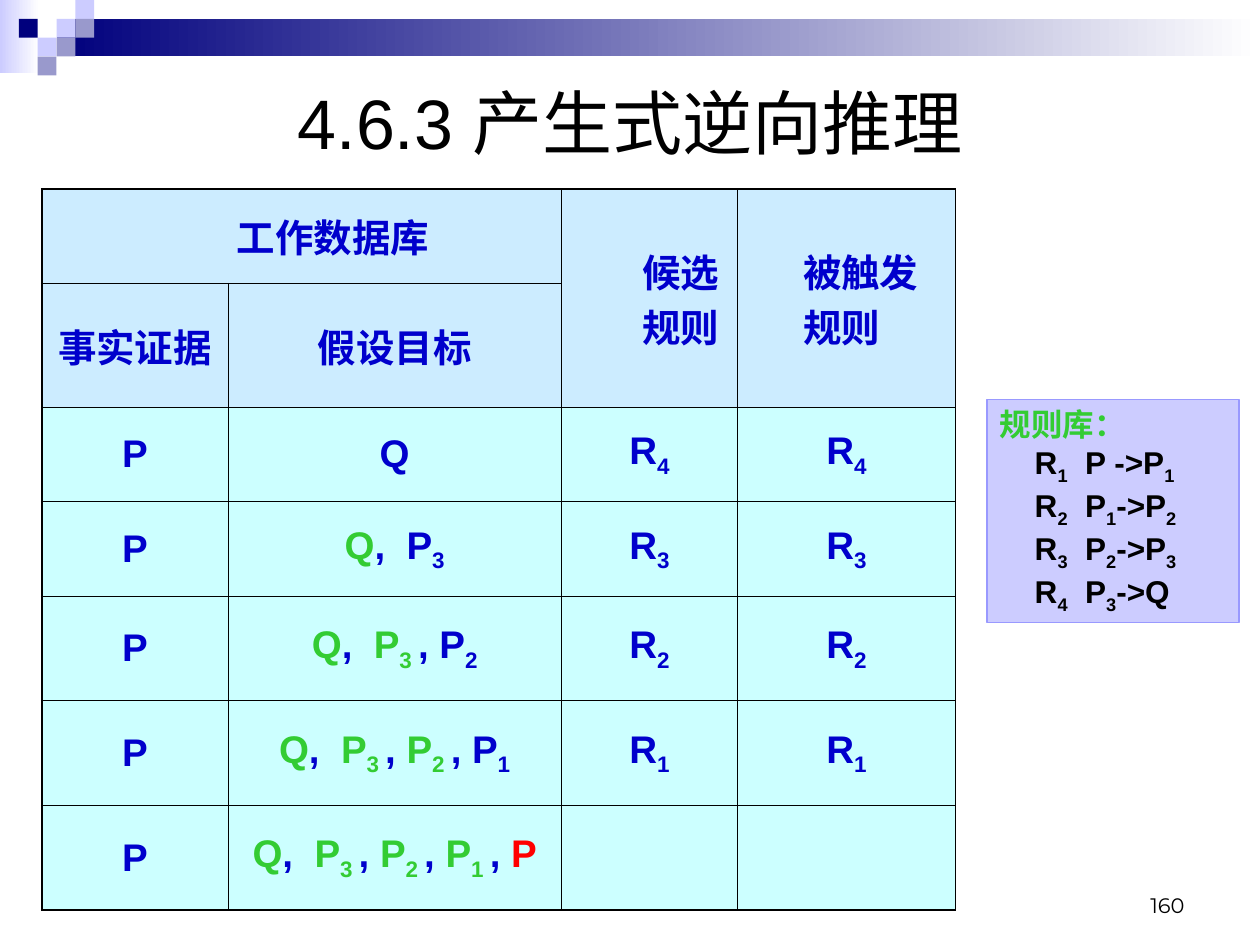
from lxml import etree
from pptx import Presentation
from pptx.dml.color import RGBColor
from pptx.enum.shapes import MSO_SHAPE
from pptx.enum.text import MSO_ANCHOR, MSO_AUTO_SIZE, PP_ALIGN
from pptx.oxml.ns import qn
from pptx.util import Cm, Pt

RECT = MSO_SHAPE.RECTANGLE
MIDDLE, BOTTOM = MSO_ANCHOR.MIDDLE, MSO_ANCHOR.BOTTOM
LEFT, CENTER, RIGHT = PP_ALIGN.LEFT, PP_ALIGN.CENTER, PP_ALIGN.RIGHT
GROW = MSO_AUTO_SIZE.SHAPE_TO_FIT_TEXT

BLACK = RGBColor(0x00, 0x00, 0x00)
WHITE = RGBColor(0xFF, 0xFF, 0xFF)
NAVY = RGBColor(0x00, 0x00, 0x7D)
LILAC = RGBColor(0xCC, 0xCC, 0xFF)
MAUVE = RGBColor(0x99, 0x99, 0xCC)
EDGE = RGBColor(0x99, 0x99, 0xFF)
BLUE = RGBColor(0x00, 0x00, 0xCC)
GREEN = RGBColor(0x33, 0xCC, 0x33)
RED = RGBColor(0xFF, 0x00, 0x00)
SKY = RGBColor(0xCC, 0xEC, 0xFF)
AQUA = RGBColor(0xCC, 0xFF, 0xFF)

HEAD = {"name": "Arial", "size": Pt(40)}
CELL = {"name": "Arial", "size": Pt(22), "bold": True}
RULE = {"name": "Arial", "size": Pt(18), "bold": True}
PAGE = {"name": "Montserrat", "size": Pt(12)}
PAD = {"margin_left": Cm(0.05), "margin_right": Cm(0.05),
       "margin_top": Cm(0.13), "margin_bottom": Cm(0.13),
       "vertical_anchor": MIDDLE}

COLS = [3.76, 6.71, 3.56, 4.39]
ROWS = [1.9, 2.5, 1.9, 1.9, 2.11, 2.11, 2.11]
GOALS = ["Q", "P_3_", "P_2_", "P_1_", "P"]
FIRED = ["R_4_", "R_3_", "R_2_", "R_1_", ""]
RULES = ["R_1_  P ->P_1_", "R_2_  P_1_->P_2_",
         "R_3_  P_2_->P_3_", "R_4_  P_3_->Q"]
TILES = [(3, 1, LILAC), (4, 0, LILAC), (4, 1, MAUVE), (2, 2, LILAC),
         (1, 1, NAVY), (3, 2, MAUVE), (2, 3, MAUVE)]


def apply(target, values):
    """Set each named value on the target."""
    for name, value in values.items():
        setattr(target, name, value)


def write(par, text, style, color):
    """Add runs to a paragraph; text between underscores is subscript."""
    for i, part in enumerate(text.split("_")):
        if part:
            run = par.add_run()
            run.text = part
            apply(run.font, style)
            run.font.color.rgb = color
            if i % 2:
                run.font._element.set("baseline", "-25000")


def indent(par, left):
    """Give a paragraph a left margin without a bullet."""
    props = par._p.get_or_add_pPr()
    props.set("marL", str(Cm(left)))
    props.set("indent", "0")


def block(slide, box, fill, end=None):
    """Draw a plain rectangle, shaded towards an end colour if given."""
    shape = slide.shapes.add_shape(RECT, *map(Cm, box))
    shape.shadow.inherit = False
    shape.line.fill.background()
    if end is None:
        shape.fill.solid()
        shape.fill.fore_color.rgb = fill
    else:
        shape.fill.gradient()
        shape.fill.gradient_angle = 0
        for stop, color, place in zip(shape.fill.gradient_stops, (fill, end), (0, 1)):
            stop.color.rgb = color
            stop.position = place
    return shape


def banner(slide, box):
    """Draw the shaded bar and its mosaic of tiles."""
    left, top, width, height = box
    unit = height / 4
    block(slide, (left, top, 0.79, 1.47), LILAC, WHITE)
    block(slide, (left + 3 * unit, top + unit, width - 3 * unit, 2 * unit), NAVY, WHITE)
    for col, row, color in TILES:
        block(slide, (left + col * unit, top + row * unit, unit, unit), color)


def heading(slide, box):
    """Place and format the title."""
    title = slide.shapes.title
    sides = ("left", "top", "width", "height")
    apply(title, dict(zip(sides, map(Cm, box))))
    title.text_frame.vertical_anchor = MIDDLE
    par = title.text_frame.paragraphs[0]
    par.alignment = CENTER
    write(par, "4.6.3 产生式逆向推理", HEAD, BLACK)


def frame(cell, row, col):
    """Rule a cell, with heavier lines on the table's rim."""
    props = cell._tc.get_or_add_tcPr()
    rims = {"lnL": col == 0, "lnR": col == len(COLS) - 1,
            "lnT": row == 0, "lnB": row == len(ROWS) - 1}
    for i, (tag, rim) in enumerate(rims.items()):
        line = etree.Element(qn("a:" + tag), w=str(Pt(1.08 if rim else 0.45)))
        fill = etree.SubElement(line, qn("a:solidFill"))
        etree.SubElement(fill, qn("a:srgbClr"), val=str(BLACK))
        props.insert(i, line)


def entry(cell, parts, align=CENTER, left=0):
    """Fill a cell with coloured pieces of text."""
    par = cell.text_frame.paragraphs[0]
    par.alignment = align
    par.space_before = Pt(0)
    if left:
        par.level = 1
        indent(par, left)
    for text, color in parts:
        write(par, text, CELL, color)


def chain(step):
    """List the goals of a step, with the earlier ones in green."""
    parts = []
    for i, goal in enumerate(GOALS[:step]):
        text = goal[:-1] + " _" if goal.endswith("_") else goal
        parts += [(text, GREEN), (", " if i else ",  ", BLUE)]
    last = RED if step == len(GOALS) - 1 else BLUE
    return parts + [(GOALS[step], last)]


def trace(slide, box):
    """Build the table of reasoning steps."""
    table = slide.shapes.add_table(len(ROWS), len(COLS), *map(Cm, box)).table
    table.first_row = table.horz_banding = False
    for col, size in zip(table.columns, COLS):
        col.width = Cm(size)
    for row, size in zip(table.rows, ROWS):
        row.height = Cm(size)
    for r in range(len(ROWS)):
        for c in range(len(COLS)):
            cell = table.cell(r, c)
            apply(cell, PAD)
            cell.fill.solid()
            cell.fill.fore_color.rgb = SKY if r < 2 else AQUA
            frame(cell, r, c)
    for start, end in (((0, 0), (0, 1)), ((0, 2), (1, 2)), ((0, 3), (1, 3))):
        table.cell(*start).merge(table.cell(*end))
    for c, text, align in ((0, "工作数据库", CENTER), (2, "候选规则", CENTER),
                           (3, "被触发规则", LEFT)):
        entry(table.cell(0, c), [(text, BLUE)], align, 1.27)
    for c, text in enumerate(("事实证据", "假设目标")):
        entry(table.cell(1, c), [(text, BLUE)])
    for step, rule in enumerate(FIRED):
        fired = [(rule, BLUE)]
        for c, parts in enumerate(([("P", BLUE)], chain(step), fired, fired)):
            entry(table.cell(step + 2, c), parts)


def rules(slide, box):
    """Draw the panel that lists the rules."""
    panel = block(slide, box, LILAC)
    panel.line.color.rgb = EDGE
    panel.line.width = Pt(0.75)
    text = panel.text_frame
    apply(text, {"word_wrap": True, "auto_size": GROW, "vertical_anchor": MSO_ANCHOR.TOP})
    par = text.paragraphs[0]
    par.alignment = LEFT
    write(par, "规则库：", RULE, GREEN)
    for rule in RULES:
        par = text.add_paragraph()
        par.alignment = LEFT
        indent(par, 0.71)
        write(par, rule, RULE, BLACK)


def number(slide, box):
    """Write the page number."""
    text = slide.shapes.add_textbox(*map(Cm, box)).text_frame
    apply(text, {"word_wrap": True, "vertical_anchor": BOTTOM})
    par = text.paragraphs[0]
    par.alignment = RIGHT
    write(par, "160", PAGE, BLACK)


def main():
    """Build and save the slide."""
    deck = Presentation()
    deck.slide_width, deck.slide_height = Cm(25.4), Cm(19.05)
    slide = deck.slides.add_slide(deck.slide_layouts[5])
    banner(slide, (0, 0, 25.4, 1.52))
    heading(slide, (1.27, 1.27, 22.86, 2.34))
    trace(slide, (0.84, 3.81, sum(COLS), sum(ROWS)))
    number(slide, (18.2, 17.35, 5.93, 1.27))
    rules(slide, (19.9, 8.05, 5.08, 4.5))
    deck.save("out.pptx")


if __name__ == "__main__":
    main()
